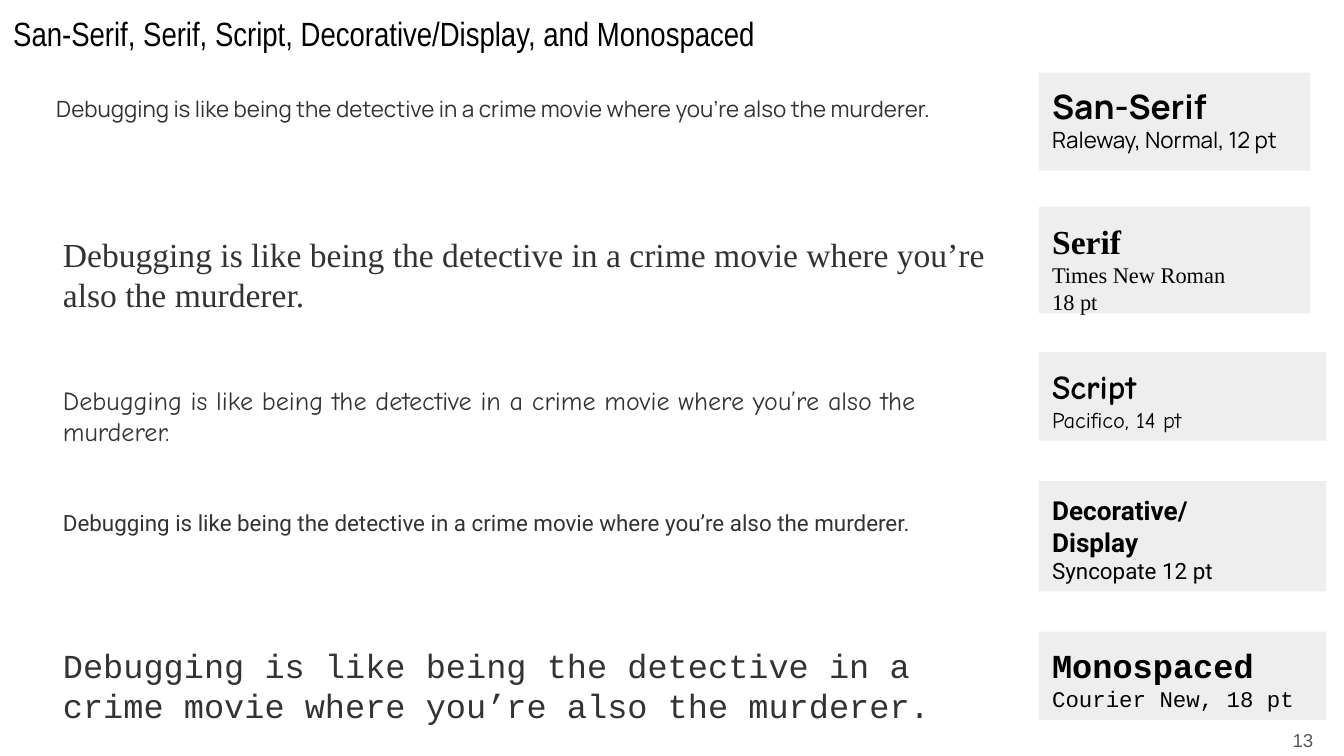
import pptx
import pptx.util
from pptx.dml.color import RGBColor
from pptx.enum.shapes import MSO_SHAPE
from pptx.enum.text import MSO_ANCHOR, PP_ALIGN

COLORS = {"black": "000000", "body": "333333", "card": "EEEEEE", "number": "595959"}
W = 10
H = W * 9 / 16
INSET = 0.1
SAMPLE_X, CARD_X = 0.37, 7.73
SAMPLE_W = 7.2
NARROW, WIDE = 2.02, 2.14

TITLE = "San-Serif, Serif, Script, Decorative/Display, and Monospaced"
QUOTE = "Debugging is like being the detective in a crime movie where you’re also the murderer."
PAGE = "13"

# font, sample (left, top, width, height, size),
# card (top, width, height, heading size), headings, details
ROWS = [
    ("Manrope", (0.32, 0.61, 7.48, 0.59, 12), (0.54, NARROW, 0.73, 18),
     ["San-Serif"], ["Raleway, Normal, 12 pt"]),
    ("Times New Roman", (SAMPLE_X, 1.64, SAMPLE_W, 0.56, 18), (1.54, NARROW, 0.79, 18),
     ["Serif"], ["Times New Roman", "18 pt"]),
    ("Comic Neue", (SAMPLE_X, 2.76, SAMPLE_W, 0.73, 14), (2.62, WIDE, 0.66, 18),
     ["Script"], ["Pacifico, 14 pt"]),
    ("Roboto", (SAMPLE_X, 3.69, SAMPLE_W, 0.73, 12), (3.58, WIDE, 0.82, 14),
     ["Decorative/", "Display"], ["Syncopate 12 pt"]),
    ("Courier New", (SAMPLE_X, 4.7, SAMPLE_W, 0.73, 18), (4.7, WIDE, 0.66, 18),
     ["Monospaced"], ["Courier New, 18 pt"]),
]


def inches(*values):
    return [pptx.util.Inches(v) for v in values]


def write(sp, lines, font, color, align=PP_ALIGN.LEFT, anchor=MSO_ANCHOR.TOP):
    """Fill a shape with one paragraph per (text, size, bold) line."""
    tf = sp.text_frame
    tf.word_wrap = True
    tf.vertical_anchor = anchor
    tf.margin_left, tf.margin_top, tf.margin_right, tf.margin_bottom = inches(*[INSET] * 4)
    for i, (text, size, bold) in enumerate(lines):
        p = tf.add_paragraph() if i else tf.paragraphs[0]
        p.alignment = align
        r = p.add_run()
        r.text = text
        r.font.name = font
        r.font.size = pptx.util.Pt(size)
        r.font.bold = bold
        r.font.color.rgb = RGBColor.from_string(COLORS[color])


def add_text(s, box, text, size, font, color, **layout):
    write(s.shapes.add_textbox(*inches(*box)), [(text, size, False)], font, color, **layout)


def add_card(s, box, lines, font):
    sp = s.shapes.add_shape(MSO_SHAPE.RECTANGLE, *inches(*box))
    sp.shadow.inherit = False
    sp.fill.solid()
    sp.fill.fore_color.rgb = RGBColor.from_string(COLORS["card"])
    sp.line.fill.background()
    write(sp, lines, font, "black")


def main():
    prs = pptx.Presentation()
    prs.slide_width, prs.slide_height = inches(W, H)
    s = prs.slides.add_slide(prs.slide_layouts[6])

    add_text(s, (0, 0, 9.74, 0.46), TITLE, 18, "Arial Narrow", "black")
    for font, sample, card, headings, details in ROWS:
        *box, size = sample
        add_text(s, box, QUOTE, size, font, "body")
        top, width, height, heading_size = card
        lines = [(t, heading_size, True) for t in headings] + [(t, 12, False) for t in details]
        add_card(s, (CARD_X, top, width, height), lines, font)
    add_text(s, (9.27, 5.29, 0.6, 0.43), PAGE, 10, "Arial", "number",
             align=PP_ALIGN.RIGHT, anchor=MSO_ANCHOR.MIDDLE)

    prs.save("out.pptx")


if __name__ == "__main__":
    main()
